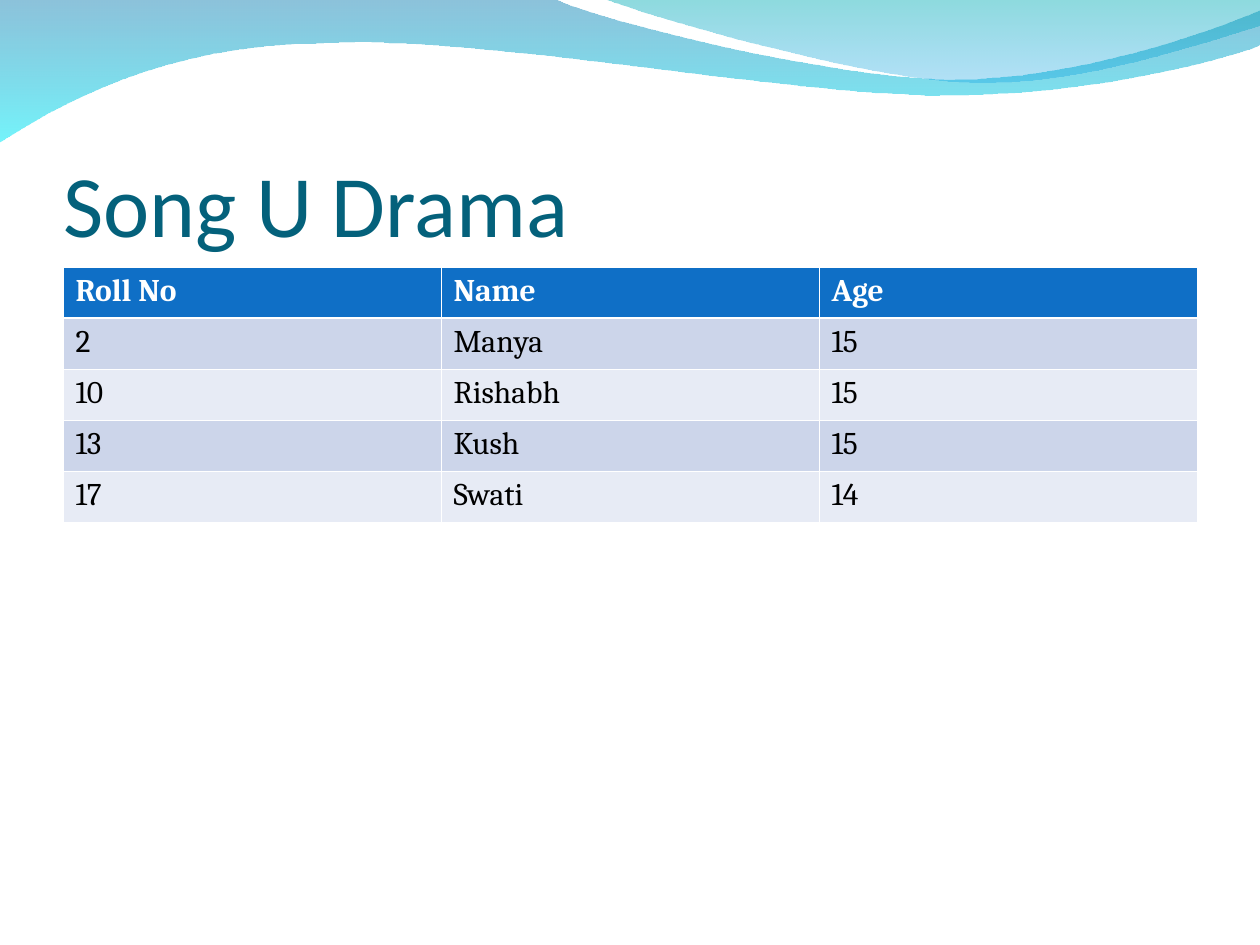
"""Build the class list slide with a wave banner, a title and a table."""
from lxml import etree
from pptx import Presentation
from pptx.dml.color import RGBColor
from pptx.enum.text import MSO_ANCHOR, MSO_AUTO_SIZE, PP_ALIGN
from pptx.oxml.ns import qn
from pptx.util import Pt

LEFT = PP_ALIGN.LEFT
BOTTOM = MSO_ANCHOR.BOTTOM
NO_FIT = MSO_AUTO_SIZE.NONE

PX = 914400 // 126
SLIDE_SIZE = (1260, 945)
COLORS = {
    "title": "04617B", "header": "0F6FC6", "odd": "CCD5EA", "even": "E7EBF5",
    "border": "FFFFFF", "header_text": "FFFFFF", "text": "000000",
    "deep": "0079AF", "aqua": "00EBF8", "teal": "00ADB6", "sky": "009BE5",
}

TITLE = "Song U Drama"
TITLE_BOX = {"left": 63, "top": 97, "width": 1134, "height": 158}
STUDENTS = [
    ("Roll No", "Name", "Age"),
    ("2", "Manya", "15"),
    ("10", "Rishabh", "15"),
    ("13", "Kush", "15"),
    ("17", "Swati", "14"),
]
TABLE_LEFT, TABLE_TOP, TABLE_WIDTH, ROW_HEIGHT = 63, 267, 1134, 51
THIN, THICK = 0.45, 1.47

WAVES = [
    {
        "start": (0, -1),
        "segments": [
            [(554, -1)],
            [(600, 21), (837, 79), (955, 79)],
            [(1075, 79), (1207, 33), (1260, 11)],
            [(1261, 45)],
            [(1239, 55), (1096, 96), (940, 95)],
            [(784, 95), (481, 35), (324, 43)],
            [(163, 44), (58, 105), (-1, 142)],
        ],
        "stops": [("deep", 45), ("aqua", 55)],
    },
    {
        "start": (604, -1),
        "segments": [
            [(641, 14), (859, 78), (969, 82)],
            [(1079, 87), (1211, 40), (1260, 26)],
            [(1260, 0)],
        ],
        "stops": [("teal", 45), ("sky", 30)],
    },
]


def rgb(name):
    return RGBColor.from_string(COLORS[name])


def style_font(font, **values):
    font.color.rgb = rgb(values.pop("color"))
    for key, value in values.items():
        setattr(font, key, value)


def bend_segments(wave, segments):
    lines = wave.element.iter(qn("a:lnTo"))
    for segment, parts in [(s, [next(lines) for _ in s]) for s in segments]:
        if len(segment) == 3:
            curve = etree.Element(qn("a:cubicBezTo"))
            parts[0].addprevious(curve)
            for part in parts:
                curve.append(part[0])
                part.getparent().remove(part)


def add_wave(slide, start, segments, stops):
    builder = slide.shapes.build_freeform(*start, scale=PX)
    builder.add_line_segments([point for segment in segments for point in segment], close=True)
    wave = builder.convert_to_shape()
    bend_segments(wave, segments)
    wave.shadow.inherit = False
    wave.line.fill.background()
    wave.fill.gradient()
    wave.fill.gradient_angle = 270
    for stop, (color, _) in zip(wave.fill.gradient_stops, stops):
        stop.color.rgb = rgb(color)
    colors = wave.element.spPr.find(qn("a:gradFill")).iter(qn("a:srgbClr"))
    for color, (_, opacity) in zip(colors, stops):
        etree.SubElement(color, qn("a:alpha"), val=str(opacity * 1000))


def set_borders(cell, top, bottom):
    properties = cell._tc.get_or_add_tcPr()
    widths = {"a:lnL": THIN, "a:lnR": THIN, "a:lnT": top, "a:lnB": bottom}
    for index, (side, width) in enumerate(widths.items()):
        line = etree.Element(qn(side), w=str(Pt(width)))
        fill = etree.SubElement(line, qn("a:solidFill"))
        etree.SubElement(fill, qn("a:srgbClr"), val=COLORS["border"])
        properties.insert(index, line)


def place_title(slide):
    title = slide.shapes.title
    title.element.getparent().append(title.element)
    for side, value in TITLE_BOX.items():
        setattr(title, side, value * PX)
    frame = title.text_frame
    frame.text = TITLE
    settings = {"auto_size": NO_FIT, "word_wrap": True, "vertical_anchor": BOTTOM,
                "margin_left": 0, "margin_right": 0, "margin_top": 6 * PX,
                "margin_bottom": 0}
    for key, value in settings.items():
        setattr(frame, key, value)
    frame.paragraphs[0].alignment = LEFT
    style_font(frame.paragraphs[0].runs[0].font, color="title", name="Calibri", size=Pt(50))


def add_students(slide):
    table = slide.shapes.add_table(
        len(STUDENTS), len(STUDENTS[0]), TABLE_LEFT * PX, TABLE_TOP * PX,
        TABLE_WIDTH * PX, ROW_HEIGHT * len(STUDENTS) * PX).table
    for row, values in enumerate(STUDENTS):
        is_header = row == 0
        band = "header" if is_header else ("even", "odd")[row % 2]
        for column, value in enumerate(values):
            cell = table.cell(row, column)
            cell.text = value
            cell.fill.solid()
            cell.fill.fore_color.rgb = rgb(band)
            set_borders(cell, THICK if row == 1 else THIN, THICK if is_header else THIN)
            style_font(cell.text_frame.paragraphs[0].runs[0].font,
                       color="header_text" if is_header else "text",
                       name="Cambria", size=Pt(18), bold=is_header)


def main():
    deck = Presentation()
    deck.slide_width, deck.slide_height = (side * PX for side in SLIDE_SIZE)
    slide = deck.slides.add_slide(deck.slide_layouts[5])
    for wave in WAVES:
        add_wave(slide, **wave)
    place_title(slide)
    add_students(slide)
    deck.save("out.pptx")


if __name__ == "__main__":
    main()
